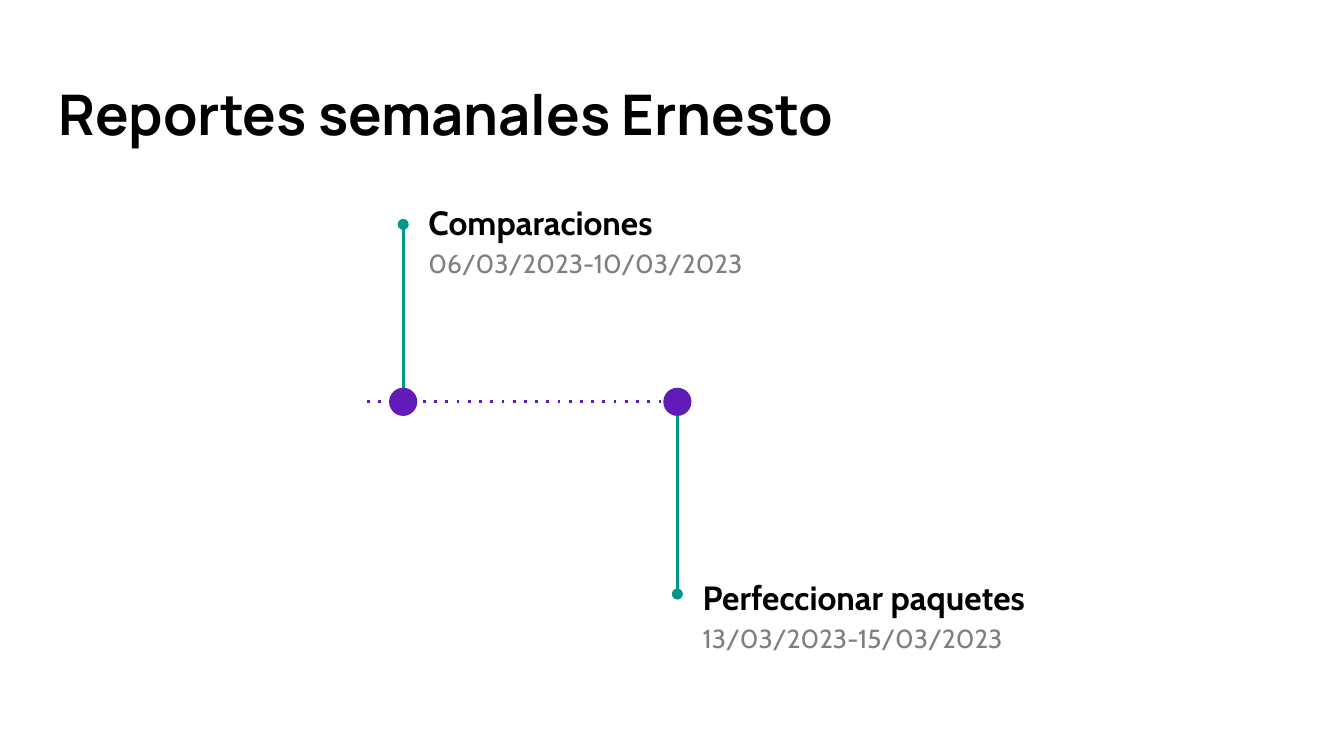
from pptx import Presentation
from pptx.dml.color import RGBColor
from pptx.enum.shapes import MSO_CONNECTOR, MSO_SHAPE
from pptx.enum.text import MSO_ANCHOR
from pptx.oxml.ns import qn
from pptx.util import Inches, Pt
from lxml.etree import SubElement

BLACK = RGBColor(0x00, 0x00, 0x00)
GRAY = RGBColor(0x7F, 0x7F, 0x7F)
PURPLE = RGBColor(0x61, 0x1B, 0xB8)
TEAL = RGBColor(0x00, 0x96, 0x88)

TITLE = "Reportes semanales Ernesto"
MILESTONES = [
    {"task": "Comparaciones", "dates": "06/03/2023-10/03/2023",
     "center": 3.0, "stem_end": 1.67, "label_top": 1.36},
    {"task": "Perfeccionar paquetes", "dates": "13/03/2023-15/03/2023",
     "center": 5.04, "stem_end": 4.42, "label_top": 4.15},
]

WIDTH = 10
HEIGHT = WIDTH * 9 / 16
MARGIN = 0.34
AXIS_START, AXIS_END, AXIS_Y = 2.73, 5.15, 2.99
DOT = 0.21
LABEL_GAP, LABEL_WIDTH, LABEL_HEIGHT = 0.09, 2.9, 1.06


def add_line(slide, start, end, color):
    line = slide.shapes.add_connector(
        MSO_CONNECTOR.STRAIGHT, *(Inches(v) for v in (*start, *end)))
    line.line.color.rgb = color
    line.line.width = Pt(1.5)
    SubElement(line._element.spPr, qn("a:effectLst"))
    return line


def add_text(slide, box, rows, spacing=1.0):
    frame = slide.shapes.add_textbox(*(Inches(v) for v in box)).text_frame
    frame.word_wrap = True
    frame.vertical_anchor = MSO_ANCHOR.TOP
    frame.margin_left = frame.margin_right = Inches(0.1)
    frame.margin_top = frame.margin_bottom = Inches(0.1)
    frame.text = "\n".join(row[0] for row in rows)
    for paragraph, (_, font_name, size, color, bold) in zip(frame.paragraphs, rows):
        paragraph.line_spacing = spacing
        font = paragraph.runs[0].font
        font.name, font.size, font.bold = font_name, Pt(size), bold
        font.color.rgb = color
    return frame


def add_milestone(slide, milestone):
    center, stem_end = milestone["center"], milestone["stem_end"]
    direction = 1 if stem_end > AXIS_Y else -1
    stem = add_line(slide, (center, AXIS_Y + direction * DOT / 2),
                    (center, stem_end), TEAL)
    SubElement(stem.line._get_or_add_ln(), qn("a:tailEnd"), type="oval")

    dot = slide.shapes.add_shape(
        MSO_SHAPE.OVAL, Inches(center - DOT / 2), Inches(AXIS_Y - DOT / 2),
        Inches(DOT), Inches(DOT))
    dot.shadow.inherit = False
    dot.fill.solid()
    dot.fill.fore_color.rgb = PURPLE
    dot.line.fill.background()

    label = add_text(
        slide,
        (center + LABEL_GAP, milestone["label_top"], LABEL_WIDTH, LABEL_HEIGHT),
        [(milestone["task"], "Cabin", 18, BLACK, True),
         (milestone["dates"], "Cabin", 14, GRAY, False)],
        spacing=1.15)
    label.paragraphs[-1].space_after = Pt(16)


def main():
    deck = Presentation()
    deck.slide_width, deck.slide_height = Inches(WIDTH), Inches(HEIGHT)
    slide = deck.slides.add_slide(deck.slide_layouts[6])
    add_text(slide, (MARGIN, 0.49, WIDTH - 2 * MARGIN, 0.68),
             [(TITLE, "Manrope", 30, BLACK, True)])
    axis = add_line(slide, (AXIS_START, AXIS_Y), (AXIS_END, AXIS_Y), PURPLE)
    SubElement(axis.line._get_or_add_ln(), qn("a:prstDash"), val="dot")
    for milestone in MILESTONES:
        add_milestone(slide, milestone)
    deck.save("out.pptx")


if __name__ == "__main__":
    main()
